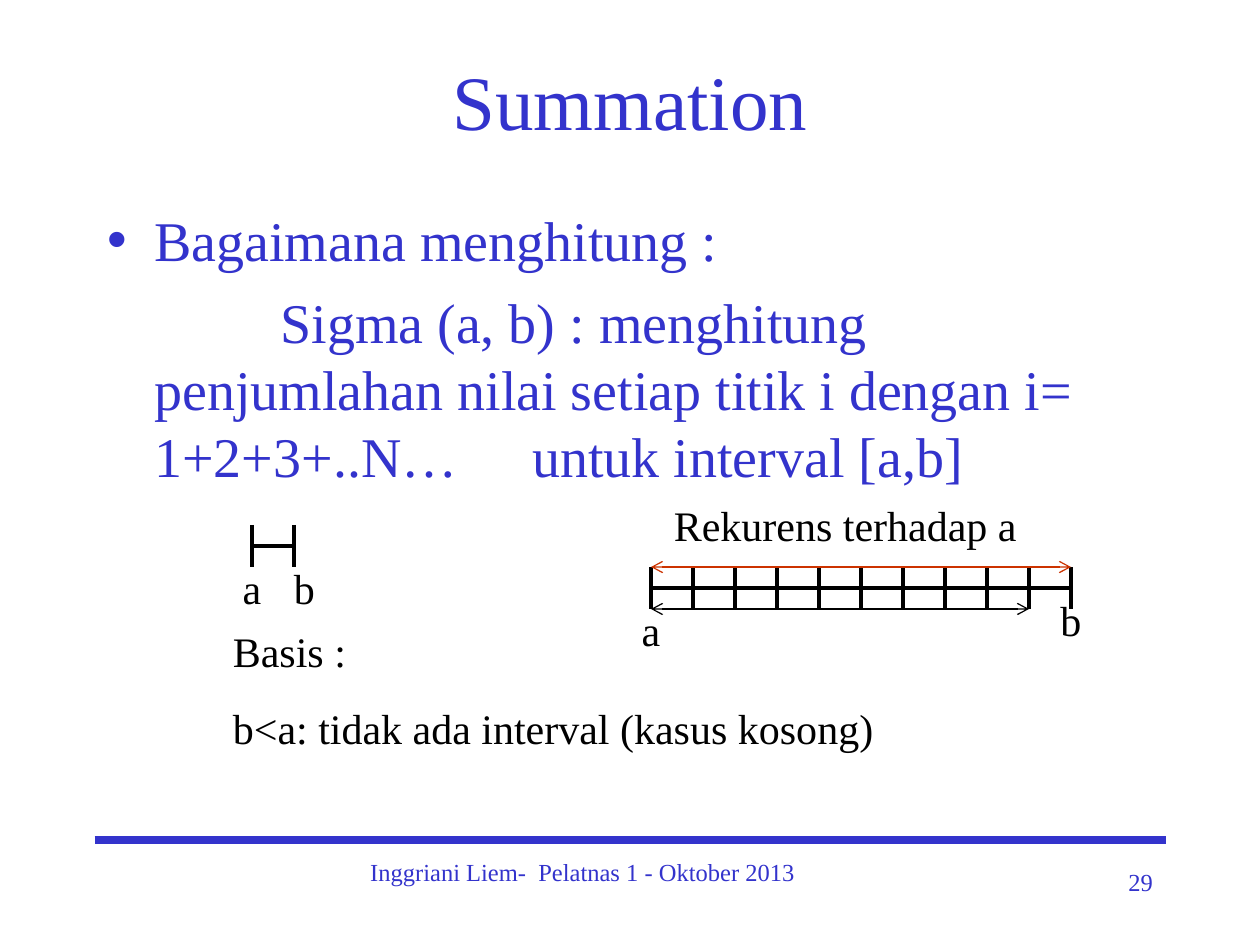
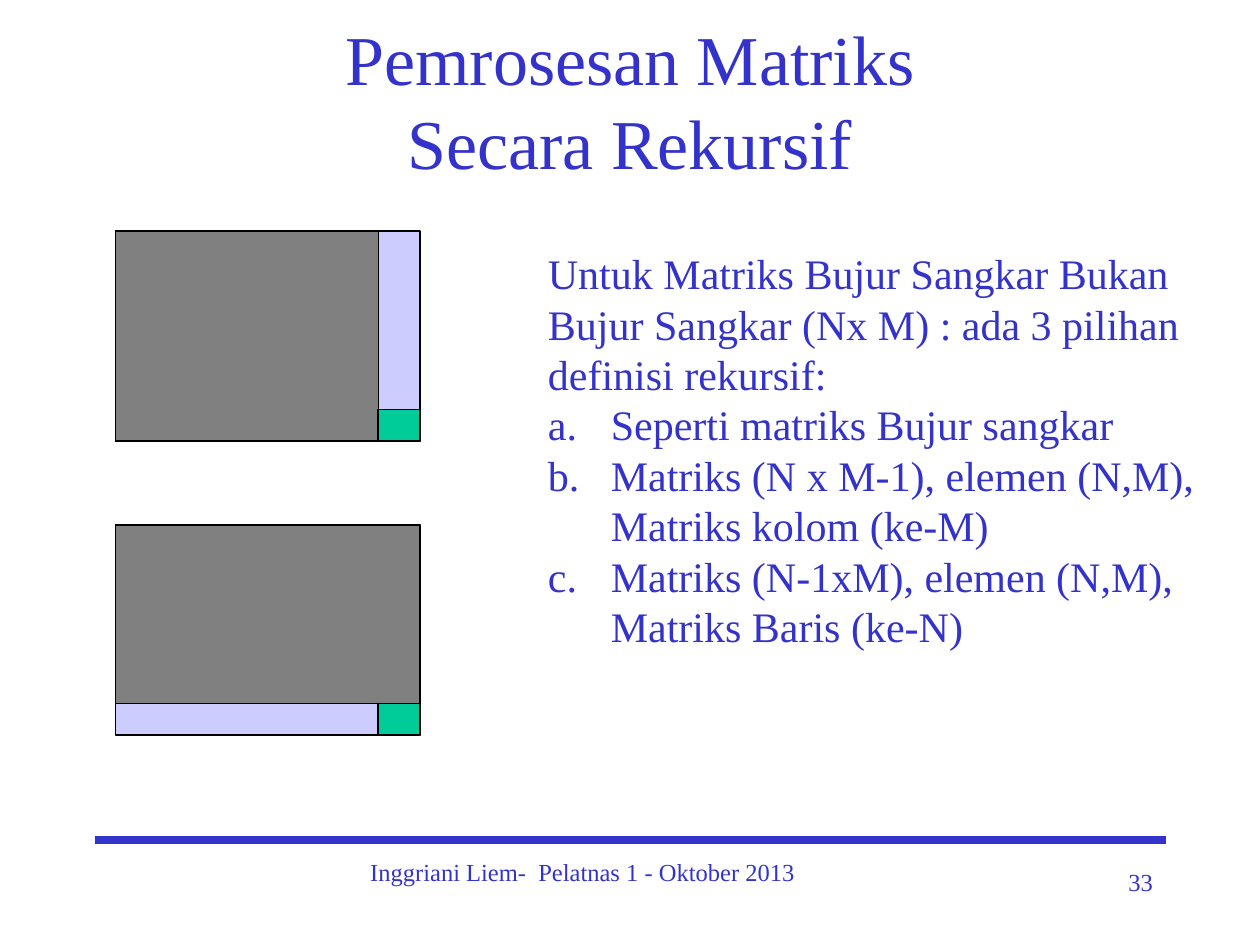
from lxml.etree import SubElement
from pptx import Presentation
from pptx.dml.color import RGBColor
from pptx.enum.shapes import MSO_CONNECTOR, MSO_SHAPE
from pptx.enum.text import MSO_ANCHOR, MSO_AUTO_SIZE, PP_ALIGN
from pptx.oxml.ns import qn
from pptx.util import Pt

BLUE, BLACK, RED = "3333CC", "000000", "CC3300"
LILAC, GRAY, GREEN = "CCCCFF", "808080", "00CC99"
CELL = 24


def color(hex_value):
    return RGBColor.from_string(hex_value)


class Deck:
    """Holds the shared style and draws each kind of element on the current slide."""

    font = "Times New Roman"

    def __init__(self):
        self.presentation = Presentation()
        self.presentation.slide_width = Pt(720)
        self.presentation.slide_height = Pt(540)

    def start_slide(self, layout, title, size, number):
        layouts = self.presentation.slide_layouts
        self.slide = self.presentation.slides.add_slide(layouts.get_by_name(layout))
        self.canvas = self.slide.shapes
        self.line(54, 480, 666, 480, 4.5, BLUE)
        self.text(168, 486, 330, 36, ["Inggriani Liem-  Pelatnas 1 - Oktober 2013"],
                  14, BLUE, PP_ALIGN.CENTER)
        self.text(516, 492, 150, 36, [number], 14, BLUE, PP_ALIGN.RIGHT)
        heading = self.place(self.slide.shapes.title, 54, 12, 612, 90)
        heading.vertical_anchor = MSO_ANCHOR.MIDDLE
        self.paragraph(heading, 0, title, size, BLUE, PP_ALIGN.CENTER)

    def place(self, shape, left, top, width, height):
        shape.left, shape.top = Pt(left), Pt(top)
        shape.width, shape.height = Pt(width), Pt(height)
        frame = shape.text_frame
        frame.word_wrap = True
        frame.auto_size = MSO_AUTO_SIZE.NONE
        return frame

    def paragraph(self, frame, index, content, size, ink, align=PP_ALIGN.LEFT,
                  before=0, margin=0, indent=0, bullet=None, tabs=()):
        paragraph = frame.add_paragraph() if index else frame.paragraphs[0]
        paragraph.text = content
        paragraph.alignment = align
        paragraph.space_before = Pt(before if index else 0)
        properties = paragraph._p.get_or_add_pPr()
        properties.set("marL", str(Pt(margin)))
        properties.set("indent", str(Pt(indent)))
        if bullet == "•":
            SubElement(properties, qn("a:buChar"), char=bullet)
        elif bullet:
            SubElement(properties, qn("a:buAutoNum"), type=bullet)
        else:
            SubElement(properties, qn("a:buNone"))
        if tabs:
            stops = SubElement(properties, qn("a:tabLst"))
            for stop in tabs:
                SubElement(stops, qn("a:tab"), pos=str(Pt(stop)), algn="l")
        paragraph.font.name = self.font
        paragraph.font.size = Pt(size)
        paragraph.font.color.rgb = color(ink)

    def text(self, left, top, width, height, contents, size=24, ink=BLACK,
             align=PP_ALIGN.LEFT, before=0):
        box = self.canvas.add_textbox(0, 0, 0, 0)
        frame = self.place(box, left, top, width, height)
        for index, content in enumerate(contents):
            self.paragraph(frame, index, content, size, ink, align, before)

    def line(self, x1, y1, x2, y2, weight=0.75, ink=BLACK, arrows=False):
        connector = self.canvas.add_connector(
            MSO_CONNECTOR.STRAIGHT, Pt(x1), Pt(y1), Pt(x2), Pt(y2))
        connector.line.width = Pt(weight)
        connector.line.color.rgb = color(ink)
        if arrows:
            for end in ("a:headEnd", "a:tailEnd"):
                SubElement(connector.line._get_or_add_ln(), qn(end), type="arrow")
        SubElement(connector._element.spPr, qn("a:effectLst"))

    def rectangle(self, left, top, width, height, fill):
        block = self.canvas.add_shape(
            MSO_SHAPE.RECTANGLE, Pt(left), Pt(top), Pt(width), Pt(height))
        block.shadow.inherit = False
        block.fill.solid()
        block.fill.fore_color.rgb = color(fill)
        block.line.color.rgb = color(BLACK)
        block.line.width = Pt(0.75)

    def interval(self, left, top, cells, a_at, b_at, spans=()):
        self.canvas = self.slide.shapes.add_group_shape().shapes
        for label, (x, y) in (("a", a_at), ("b", b_at)):
            self.text(x, y, 36, 36, [label], align=PP_ALIGN.CENTER)
        middle = top + CELL / 2
        for point in range(cells + 1):
            x = left + point * CELL
            self.line(x, top, x, top + CELL, 2.25)
            if point:
                self.line(x - CELL, middle, x, middle, 2.25)
        for y, length, ink in spans:
            self.line(left, y, left + length * CELL, y, ink=ink, arrows=True)
        self.canvas = self.slide.shapes

    def matrix(self, left, top, rest_width, rest_height):
        self.rectangle(left, top, 174, 120, LILAC)
        self.rectangle(left, top, rest_width, rest_height, GRAY)
        self.rectangle(left + 150, top + 102, 24, 18, GREEN)
        self.line(left, top + 96, left, top)


def summation(deck):
    deck.start_slide("Title and Content", "Summation", 44, "29")
    body = deck.place(deck.slide.placeholders[1], 54, 114, 612, 366)
    deck.paragraph(body, 0, "Bagaimana menghitung :", 32, BLUE,
                   margin=27, indent=-27, bullet="•")
    deck.paragraph(body, 1, "Sigma (a, b) : menghitung penjumlahan nilai setiap titik i "
                   "dengan i= 1+2+3+..N…\t\tuntuk interval [a,b]", 32, BLUE,
                   before=8, margin=27, indent=72, tabs=(216, 288))
    deck.interval(372, 324, 10, (354, 342), (594, 336),
                  [(348, 9, BLACK), (324, 10, RED)])
    deck.interval(144, 300, 1, (126, 318), (156, 318))
    deck.text(126, 354, 480, 80,
              ["Basis :", "b<a: tidak ada interval (kasus kosong)"], before=15)
    deck.text(378, 282, 222, 36, ["Rekurens terhadap a"])


def matrix_processing(deck):
    deck.start_slide("Title Only", "Pemrosesan Matriks\nSecara Rekursif", 40, "33")
    choices = deck.place(deck.canvas.add_textbox(0, 0, 0, 0), 270, 138, 420, 266)
    deck.paragraph(choices, 0, "Untuk Matriks Bujur Sangkar Bukan Bujur Sangkar (Nx M) : "
                   "ada 3 pilihan definisi rekursif:", 24, BLUE, margin=36)
    for index, choice in enumerate((
            "Seperti matriks Bujur sangkar",
            "Matriks (N x M-1), elemen (N,M), Matriks kolom (ke-M)",
            "Matriks (N-1xM), elemen (N,M), Matriks Baris (ke-N)"), 1):
        deck.paragraph(choices, index, choice, 24, BLUE,
                       margin=72, indent=-36, bullet="alphaLcPeriod")
    deck.matrix(66, 132, 150.5, 120)
    deck.matrix(66, 300, 174, 102)


def main():
    deck = Deck()
    summation(deck)
    matrix_processing(deck)
    deck.presentation.save("out.pptx")


if __name__ == "__main__":
    main()
